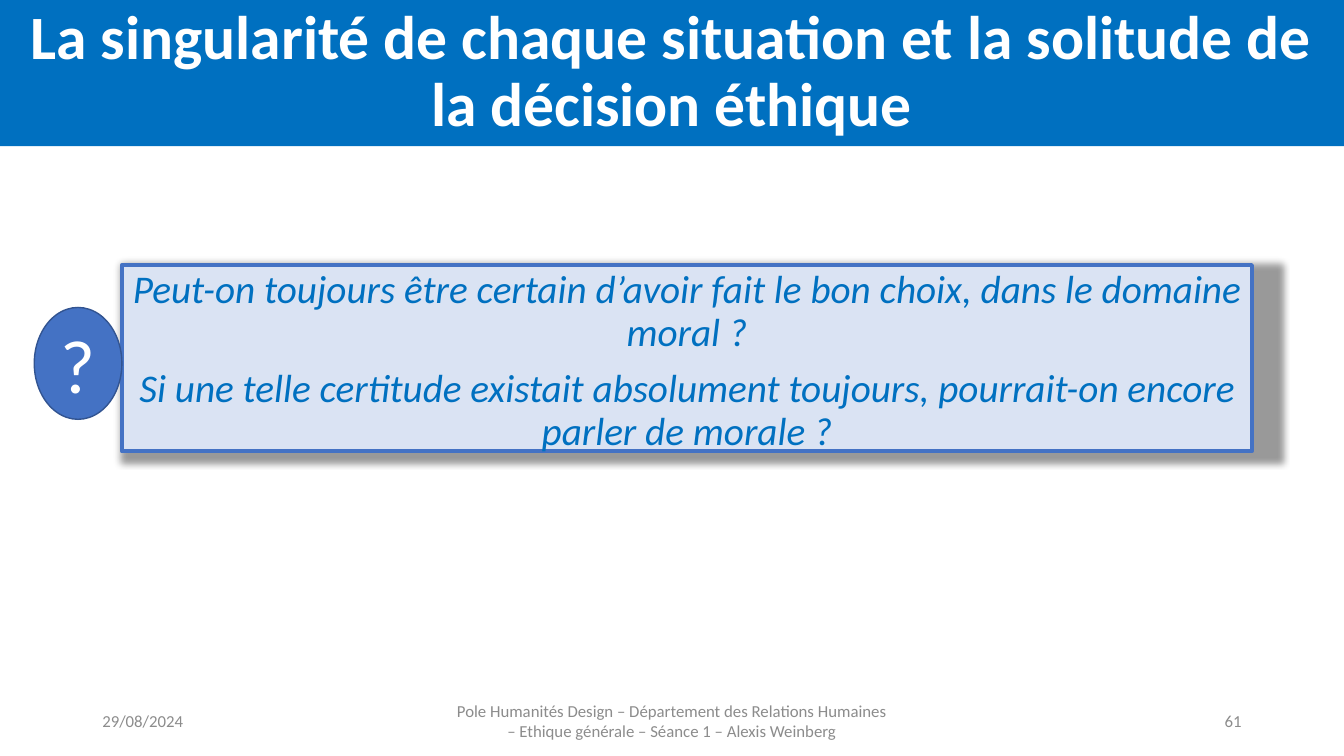
from lxml import etree
from pptx import Presentation
from pptx.dml.color import RGBColor
from pptx.enum import shapes, text
from pptx.oxml import ns
from pptx.util import Pt

WHITE = RGBColor(0xFF, 0xFF, 0xFF)
BLUE = RGBColor(0x00, 0x70, 0xC0)
PALE_BLUE = RGBColor(0xDA, 0xE3, 0xF3)
ACCENT = RGBColor(0x44, 0x72, 0xC4)
DARK_ACCENT = RGBColor(0x32, 0x54, 0x91)
GREY = RGBColor(0x8C, 0x8C, 0x8C)

FONT = "Calibri"
CENTER = text.PP_ALIGN.CENTER
MIDDLE = text.MSO_ANCHOR.MIDDLE
RECTANGLE = shapes.MSO_SHAPE.RECTANGLE
OVAL = shapes.MSO_SHAPE.OVAL


def write(sp, lines, size, color, align=CENTER, anchor=MIDDLE, spacing=1.0,
          bold=False, italic=False):
    """Fill a shape with formatted paragraphs."""
    tf = sp.text_frame
    tf.word_wrap = True
    tf.vertical_anchor = anchor
    tf.text = "\n".join(lines)
    for i, p in enumerate(tf.paragraphs):
        p.alignment = align
        p.line_spacing = spacing
        p.space_before = Pt(10 if i else 0)
        for r in p.runs:
            r.font.name = FONT
            r.font.size = Pt(size)
            r.font.bold = bold
            r.font.italic = italic
            r.font.color.rgb = color


def add_panel(s, kind, box, fill, line=None, width=1):
    """Add a filled preset shape with an optional outline."""
    sp = s.shapes.add_shape(kind, *map(Pt, box))
    sp.shadow.inherit = False
    sp.fill.solid()
    sp.fill.fore_color.rgb = fill
    if line is None:
        sp.line.fill.background()
    else:
        sp.line.color.rgb = line
        sp.line.width = Pt(width)
    return sp


def add_shadow(sp):
    """Give a shape a soft shadow that grows from its top left corner."""
    effects = sp._element.spPr.find(ns.qn("a:effectLst"))
    shadow = etree.SubElement(
        effects, ns.qn("a:outerShdw"), blurRad=str(Pt(5)), dist="0", dir="0",
        sx="102500", sy="105000", algn="tl", rotWithShape="0")
    color = etree.SubElement(shadow, ns.qn("a:srgbClr"), val="000000")
    etree.SubElement(color, ns.qn("a:alpha"), val="40000")


def add_footer(s, left, width, line, align):
    """Add one grey text box on the footer row."""
    sp = s.shapes.add_textbox(Pt(left), Pt(500.5), Pt(width), Pt(28.75))
    write(sp, [line], 12, GREY, align)


def main():
    """Build the slide and save it."""
    prs = Presentation()
    prs.slide_width, prs.slide_height = Pt(960), Pt(540)
    s = prs.slides.add_slide(prs.slide_layouts[6])

    title = add_panel(s, RECTANGLE, (0, 0, 960, 104.4), BLUE)
    write(title,
          ["La singularité de chaque situation et la solitude de la décision éthique"],
          44, WHITE, spacing=0.9, bold=True)

    questions = add_panel(s, RECTANGLE, (87.1, 189.4, 807.1, 133), PALE_BLUE, ACCENT, 3)
    add_shadow(questions)
    write(questions,
          ["Peut-on toujours être certain d’avoir fait le bon choix, dans le domaine moral ?",
           "Si une telle certitude existait absolument toujours, pourrait-on encore "
           "parler de morale ?"],
          28, BLUE, anchor=text.MSO_ANCHOR.TOP, spacing=0.9, italic=True)

    badge = add_panel(s, OVAL, (24.5, 219.6, 62.6, 79.9), ACCENT, DARK_ACCENT)
    write(badge, ["?"], 54, WHITE)

    add_footer(s, 66, 216, "29/08/2024", text.PP_ALIGN.LEFT)
    add_footer(s, 318, 324,
               "Pole Humanités Design – Département des Relations Humaines "
               "– Ethique générale – Séance 1 – Alexis Weinberg", CENTER)
    add_footer(s, 678, 216, "61", text.PP_ALIGN.RIGHT)
    prs.save("out.pptx")


if __name__ == "__main__":
    main()
